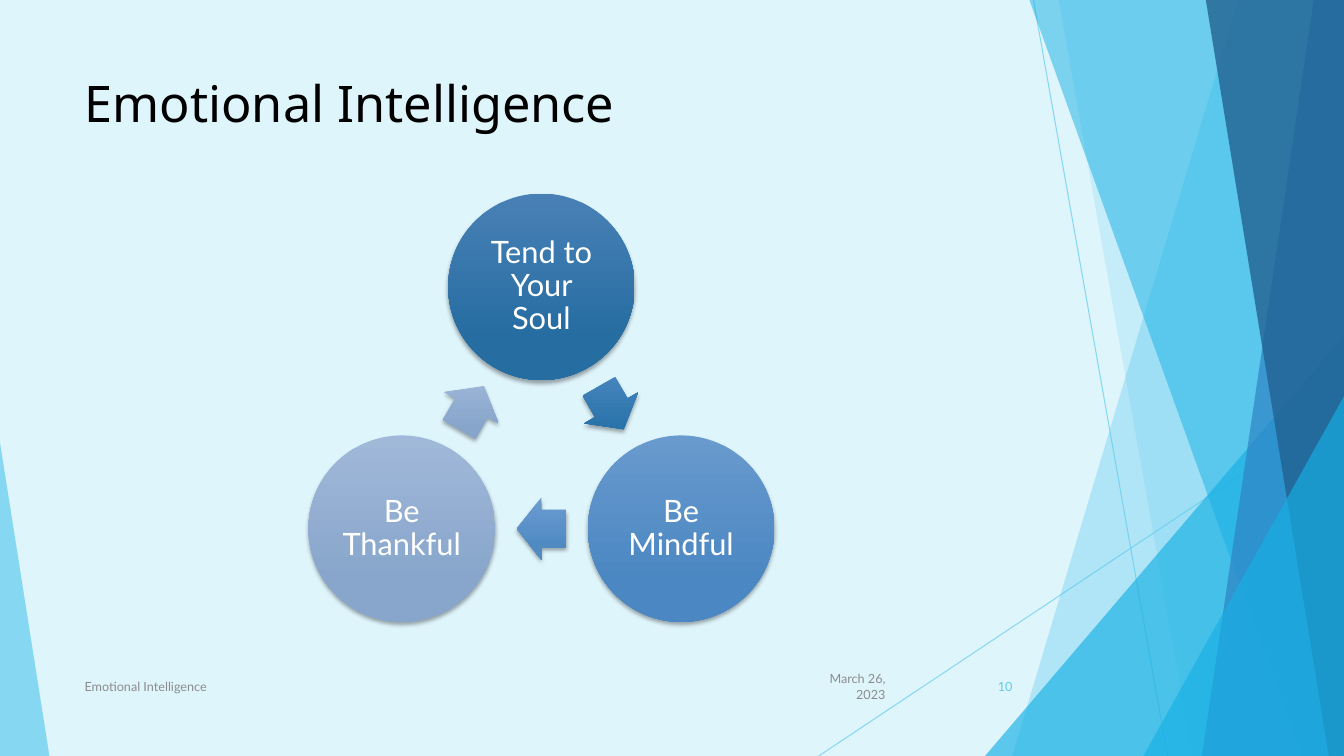
from math import cos, radians, sin

from lxml.etree import SubElement as Sub
from pptx import Presentation
from pptx.dml.color import RGBColor
from pptx.enum.shapes import MSO_CONNECTOR as Link, MSO_SHAPE as Form
from pptx.enum.text import MSO_ANCHOR as Anchor, PP_ALIGN as Align
from pptx.oxml.ns import qn
from pptx.util import Inches, Pt

CELL = Inches(0.1)
COLS, ROWS = 133.3, 75
SKY, CYAN, BLUE, NAVY = "5FCBEF", "17B0E4", "2E83C3", "226292"
GRAY, WHITE = "8C8C8C", "FFFFFF"
HUB, RING, GAP = (53.7, 44.45), 16, 8
DISC, HEAD = 18.5, (4.9, 6.2)

RAYS = [(102.5, 0, 115.8, ROWS), (COLS, 40.3, 81.2, ROWS)]
BANDS = [
    (122.8, 100.4, SKY, 36),
    (105, 118.3, SKY, 20),
    None,
    (102.1, 129.1, CYAN, 50),
    (130.3, 119.2, BLUE, 70),
    (119.6, 131.8, NAVY, 80),
]
STEPS = [
    ("Tend to Your Soul", "4880B5", "266DA2", "4986BE", "2873AA"),
    ("Be Mindful", "699ACE", "4B87C2", "6C9CD0", "4F8AC3"),
    ("Be Thankful", "A0B9D9", "88A5CB", "A0B9D9", "87A5CB"),
]


def cells(*nums):
    """Turn grid counts into lengths."""
    return [round(n * CELL) for n in nums]


def color(code):
    """Make a colour from a hex string."""
    return RGBColor.from_string(code)


def assign(item, **vals):
    """Set each given value on an item."""
    for key, val in vals.items():
        setattr(item, key, val)


def fade(fill, alpha):
    """Set the opacity of a solid fill in percent."""
    tone = next(fill.iter(qn("a:srgbClr")))
    Sub(tone, qn("a:alpha"), val=str(alpha * 1000))


def paint(shape, code, alpha):
    """Give a shape a clear flat fill and no edge."""
    shape.fill.solid()
    shape.fill.fore_color.rgb = color(code)
    fade(shape.element.spPr.find(qn("a:solidFill")), alpha)
    shape.line.fill.background()
    shape.shadow.inherit = False


def shade(shape, top, low):
    """Give a shape a downward blend and a soft shadow."""
    shape.fill.gradient()
    shape.fill.gradient_angle = 270
    for stop, code, spot in zip(shape.fill.gradient_stops, (top, low), (0, 0.78)):
        stop.color.rgb = color(code)
        stop.position = spot
    shape.line.fill.background()
    shape.shadow.inherit = False
    props = shape.element.spPr
    props.find(qn("a:gradFill")).set("rotWithShape", "0")
    cast = Sub(props.find(qn("a:effectLst")), qn("a:outerShdw"), blurRad=str(Pt(3)),
               dist=str(Pt(2)), dir="5400000", rotWithShape="0")
    Sub(Sub(cast, qn("a:srgbClr"), val="000000"), qn("a:alpha"), val="35000")


def ray(slide, ends):
    """Draw one thin line."""
    line = slide.shapes.add_connector(Link.STRAIGHT, *cells(*ends))
    line.line.width = Pt(0.75)
    line.line.color.rgb = color(SKY)
    props = line.element.spPr
    fade(props.find(qn("a:ln")), 70)
    Sub(props, qn("a:effectLst"))


def band(slide, top, low, code, alpha):
    """Draw a slanted band that reaches the right edge."""
    pen = slide.shapes.build_freeform(*cells(top, 0))
    pen.add_line_segments([cells(*dot) for dot in ((COLS, 0), (COLS, ROWS), (low, ROWS))])
    paint(pen.convert_to_shape(), code, alpha)


def wedge(slide, left, top, wide, tip, code, alpha):
    """Draw a triangle that stands on the bottom edge."""
    shape = slide.shapes.add_shape(Form.ISOSCELES_TRIANGLE, *cells(left, top, wide, ROWS - top))
    shape.adjustments[0] = tip
    paint(shape, code, alpha)


def write(frame, words, size, code, font="Lato", align=Align.LEFT, anchor=Anchor.MIDDLE):
    """Fill a text frame with one styled line."""
    assign(frame, word_wrap=True, vertical_anchor=anchor)
    part = frame.paragraphs[0]
    part.alignment = align
    run = part.add_run()
    run.text = words
    assign(run.font, size=Pt(size), name=font)
    run.font.color.rgb = color(code)


def label(slide, box, *args, **style):
    """Place a text box on the grid."""
    write(slide.shapes.add_textbox(*cells(*box)).text_frame, *args, **style)


def place(slide, form, reach, angle, wide, high):
    """Add a shape centred on a ring around the hub."""
    turn = radians(angle)
    left = HUB[0] + reach * cos(turn) - wide / 2
    top = HUB[1] + reach * sin(turn) - high / 2
    return slide.shapes.add_shape(form, *cells(left, top, wide, high))


def cycle(slide):
    """Draw the ring of steps and arrows."""
    turn = 360 / len(STEPS)
    for num, (words, top, low, tip, tail) in enumerate(STEPS):
        angle = num * turn - 90
        disc = place(slide, Form.OVAL, RING, angle, DISC, DISC)
        shade(disc, top, low)
        edge = Inches(0.03)
        frame = disc.text_frame
        assign(frame, margin_left=edge, margin_right=edge, margin_top=edge, margin_bottom=edge)
        write(frame, words, 22, WHITE, align=Align.CENTER)
        frame.paragraphs[0].line_spacing = 0.9
        angle += turn / 2
        arrow = place(slide, Form.RIGHT_ARROW, GAP, angle, *HEAD)
        arrow.adjustments[0] = 0.6
        arrow.rotation = angle + 90
        shade(arrow, tip, tail)


def scene(slide):
    """Draw the backdrop."""
    slide.background.fill.solid()
    slide.background.fill.fore_color.rgb = color("DFF5FC")
    for ends in RAYS:
        ray(slide, ends)
    for item in BANDS:
        if item:
            band(slide, *item)
        else:
            wedge(slide, 97.7, 33.3, 35.6, 1, CYAN, 66)
    wedge(slide, 113.4, 39.3, 19.9, 1, CYAN, 66)
    wedge(slide, 0, 43.9, 4.9, 0, SKY, 70)


def main():
    """Build and save the slide."""
    deck = Presentation()
    wide, high = cells(COLS, ROWS)
    assign(deck, slide_width=wide, slide_height=high)
    slide = deck.slides.add_slide(deck.slide_layouts[6])
    scene(slide)
    title = "Emotional Intelligence"
    label(slide, (7.4, 6.7, 94, 14.4), title, 36, "000000", font="Noto Sans", anchor=Anchor.TOP)
    cycle(slide)
    label(slide, (7.4, 66.1, 68.9, 4), title, 9, GRAY)
    label(slide, (93.9, 66.1, 7.5, 4), "10", 9, SKY, align=Align.RIGHT)
    label(slide, (78.8, 66.1, 10, 4), "March 26, 2023", 9, GRAY, align=Align.RIGHT)
    deck.save("out.pptx")


main()
